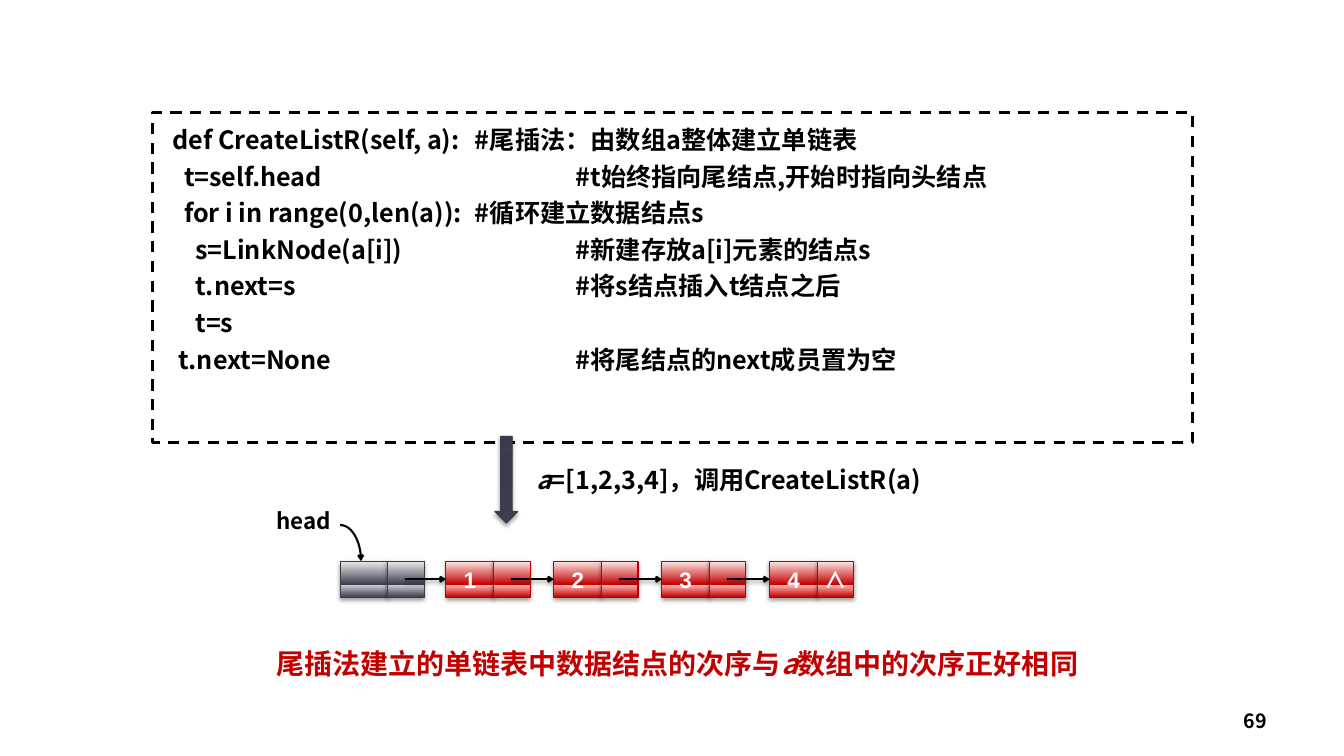
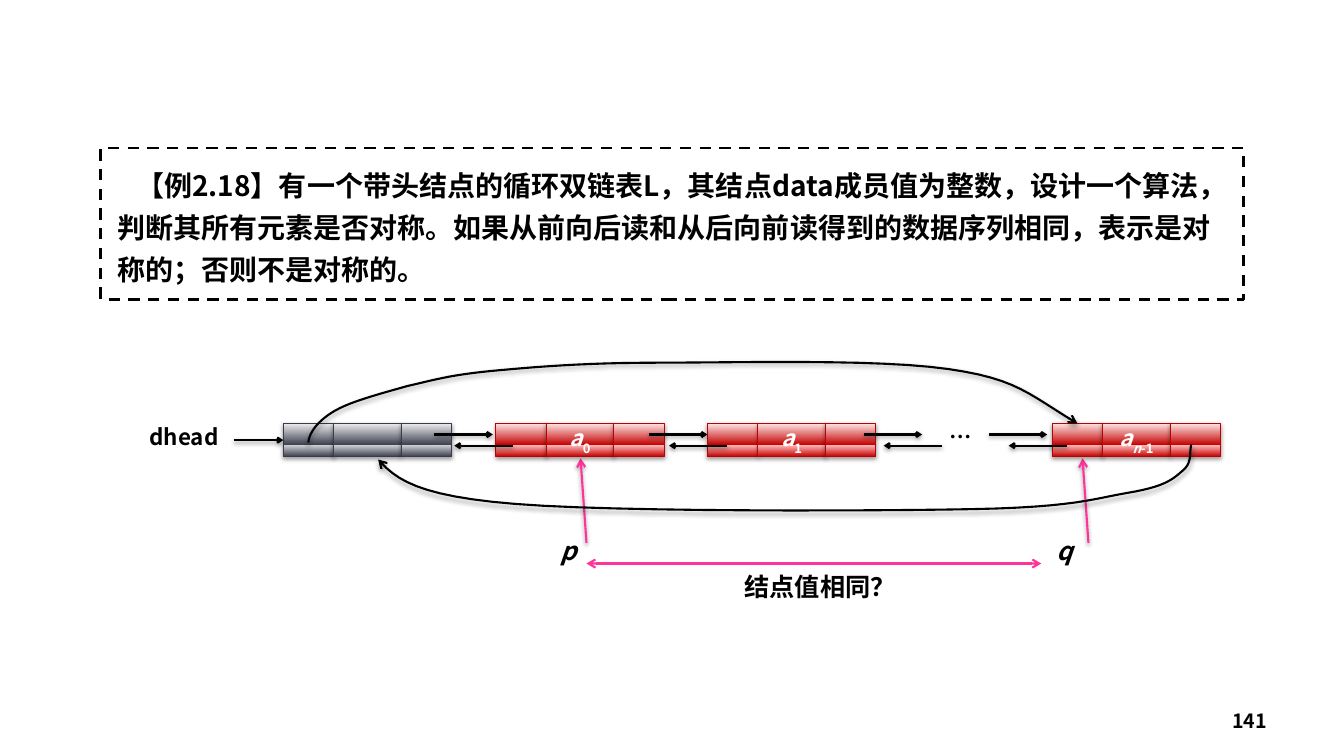
from lxml.etree import SubElement
from pptx import Presentation
from pptx.dml.color import RGBColor
from pptx.enum.dml import MSO_LINE
from pptx.enum.shapes import MSO_CONNECTOR, MSO_SHAPE
from pptx.enum.text import MSO_ANCHOR, PP_ALIGN
from pptx.oxml.ns import qn
from pptx.util import Cm, Pt

BLACK = RGBColor(0x00, 0x00, 0x00)
WHITE = RGBColor(0xFF, 0xFF, 0xFF)
RED = RGBColor(0xC3, 0x00, 0x00)
RED_EDGE = RGBColor(0xBF, 0x00, 0x00)
RED_MID = RGBColor(0xFF, 0xBD, 0xBD)
RED_PALE = RGBColor(0xFF, 0xE6, 0xE6)
SLATE = RGBColor(0x3B, 0x3E, 0x4D)
SLATE_EDGE = RGBColor(0x39, 0x3C, 0x4C)
SLATE_MID = RGBColor(0xD1, 0xD2, 0xD5)
SLATE_PALE = RGBColor(0xEE, 0xEE, 0xEF)
SLATE_BLUE = RGBColor(0x37, 0x3A, 0x4D)
SLATE_TOP = RGBColor(0x36, 0x3A, 0x4E)
PINK = RGBColor(0xFF, 0x33, 0x99)

RED_NODE = (RED, RED_MID, RED_PALE, 35, RED_EDGE)
HEAD_NODE = (SLATE, SLATE_MID, SLATE_PALE, 35, SLATE_EDGE)
BLOCK_ARROW = (SLATE, SLATE_BLUE, SLATE_TOP, 80, SLATE_EDGE)
FONT = "Noto Sans CJK SC"
LIST_CELLS = (1.2, 0.92)
DOUBLE_CELLS = (1.27, 1.7, 1.27)

CODE = [
    ("def CreateListR(self, a):", "#尾插法：由数组a整体建立单链表", 3),
    ("  t=self.head", "#t始终指向尾结点,开始时指向头结点", 4),
    ("  for i in range(0,len(a)):", "#循环建立数据结点s", 3),
    ("    s=LinkNode(a[i])", "#新建存放a[i]元素的结点s", 4),
    ("    t.next=s", "#将s结点插入t结点之后", 4),
    ("    t=s", "", 4),
    (" t.next=None", "#将尾结点的next成员置为空", 4),
]
EXERCISE = (
    "【例2.18】有一个带头结点的循环双链表L，其结点data成员值为整数，"
    "设计一个算法，判断其所有元素是否对称。如果从前向后读和从后向前读"
    "得到的数据序列相同，表示是对称的；否则不是对称的。"
)
HEAD_CURVE = [(0, -0.91), (0.3, -0.91), (0.53, -0.5), (0.53, 0)]
TOP_CURVE = [
    (0.63, 0.48), (0.66, 0.2), (0.91, -0.1), (1.32, -0.33),
    (1.72, -0.56), (2.49, -0.76), (3.12, -0.94),
    (3.78, -1.09), (4.19, -1.22), (5.23, -1.32),
    (6.3, -1.42), (7.54, -1.53), (9.45, -1.53),
    (11.38, -1.53), (14.98, -1.63), (16.76, -1.37),
    (18.51, -1.12), (18.77, -0.74), (20.01, 0),
]
BOTTOM_CURVE = [
    (22.88, 0.53), (22.83, 0.79), (22.91, 1.01), (22.63, 1.22),
    (22.37, 1.45), (22.15, 1.6), (21.28, 1.75),
    (20.39, 1.9), (19.94, 2.11), (17.37, 2.16),
    (14.78, 2.21), (8.35, 2.23), (5.86, 2.03),
    (3.35, 1.83), (2.84, 1.4), (2.39, 0.91),
]


def write(p, runs, size, color=BLACK, align=PP_ALIGN.LEFT, name=FONT):
    """Fill a paragraph with (text, style) runs; i is italic, _ is subscript."""
    p.alignment = align
    f = p.font
    f.size, f.bold, f.name = Pt(size), True, name
    f.color.rgb = color
    SubElement(p._p.pPr.find(qn("a:defRPr")), qn("a:ea"), typeface=name)
    for text, style in runs:
        r = p.add_run()
        r.text = text
        if "i" in style:
            r.font.italic = True
        if "_" in style:
            r._r.get_or_add_rPr().set("baseline", "-30000")


def frame(s, insets=(0.25, 0.13, 0.25, 0.13), anchor=MSO_ANCHOR.TOP):
    """Set wrapping, insets and anchor, and return the text frame."""
    tf = s.text_frame
    tf.word_wrap = True
    tf.vertical_anchor = anchor
    tf.margin_left, tf.margin_top, tf.margin_right, tf.margin_bottom = map(Cm, insets)
    return tf


def label(sl, box, runs, size=18, color=BLACK, align=PP_ALIGN.LEFT, **layout):
    """Add a text box holding one paragraph and return that paragraph."""
    s = sl.shapes.add_textbox(*map(Cm, box))
    p = frame(s, **layout).paragraphs[0]
    write(p, runs, size, color, align)
    return p


def effects(s, shadow=True):
    """Give a shape a soft shadow below it, or no effect at all."""
    lst = SubElement(s._element.spPr, qn("a:effectLst"))
    if shadow:
        shdw = SubElement(lst, qn("a:outerShdw"), blurRad=str(Pt(3.1)),
                          dist=str(Pt(1.6)), dir="5400000", rotWithShape="0")
        clr = SubElement(shdw, qn("a:srgbClr"), val=str(BLACK))
        SubElement(clr, qn("a:alpha"), val="38000")


def glossy(sl, kind, box, look):
    """Add a shape with a two-part upward gradient."""
    base, mid, pale, split, edge = look
    s = sl.shapes.add_shape(kind, *map(Cm, box))
    s.fill.gradient()
    s.fill.gradient_angle = 90
    stops = s._element.spPr.find(qn("a:gradFill")).find(qn("a:gsLst"))
    for gs in list(stops):
        stops.remove(gs)
    for pos, color in ((0, base), (split, mid), (split, base), (100, pale)):
        gs = SubElement(stops, qn("a:gs"), pos=str(pos * 1000))
        SubElement(gs, qn("a:srgbClr"), val=str(color))
    s.line.color.rgb = edge
    s.line.width = Pt(0.75)
    effects(s)
    return s


def node(sl, x, y, h, widths, look, texts=()):
    """Draw a row of touching cells and return them."""
    cells = []
    for i, w in enumerate(widths):
        s = glossy(sl, MSO_SHAPE.RECTANGLE, (x, y, w, h), look)
        if i < len(texts) and texts[i]:
            p = frame(s, (0, 0, 0, 0)).paragraphs[0]
            p.line_spacing = Pt(23)
            name = "Arial" if texts[i][0][0].isdigit() else FONT
            write(p, texts[i], 16, WHITE, PP_ALIGN.CENTER, name)
        cells.append(s)
        x += w
    return cells


def stroke(s, color, ends, size, shadow):
    """Style a line with open arrowheads at the named ends."""
    s.line.color.rgb = color
    s.line.width = Pt(1.5)
    ln = s._element.spPr.find(qn("a:ln"))
    for end in ends:
        SubElement(ln, qn(f"a:{end}"), type="arrow", w=size, len=size)
    effects(s, shadow)


def arrow(sl, x1, y1, x2, y2, color=BLACK, ends=("tailEnd",), size="sm", shadow=True):
    """Add a straight arrow."""
    s = sl.shapes.add_connector(MSO_CONNECTOR.STRAIGHT, Cm(x1), Cm(y1), Cm(x2), Cm(y2))
    stroke(s, color, ends, size, shadow)
    return s


def curve(sl, x, y, points, size="med", shadow=True, steps=12):
    """Add an arrow along joined cubic curves, relative to x and y."""
    path = [points[0]]
    for i in range(0, len(points) - 1, 3):
        a, b, c, d = points[i:i + 4]
        for k in range(1, steps + 1):
            t = k / steps
            u = 1 - t
            path.append(tuple(
                u**3 * a[j] + 3 * u * u * t * b[j] + 3 * u * t * t * c[j] + t**3 * d[j]
                for j in (0, 1)))
    path = [(Cm(x + px), Cm(y + py)) for px, py in path]
    fb = sl.shapes.build_freeform(*path[0])
    fb.add_line_segments(path[1:], close=False)
    s = fb.convert_to_shape()
    s.fill.background()
    stroke(s, BLACK, ("tailEnd",), size, shadow)


def dashed_box(sl, box, left_inset):
    """Add a white box with a dashed outline and return its text frame."""
    s = sl.shapes.add_shape(MSO_SHAPE.RECTANGLE, *map(Cm, box))
    s.fill.solid()
    s.fill.fore_color.rgb = WHITE
    s.line.color.rgb = BLACK
    s.line.width = Pt(2)
    s.line.dash_style = MSO_LINE.DASH
    effects(s, False)
    return frame(s, (left_inset, 0.3, 0.25, 0.3))


def code_box(sl, box):
    """Write the code with its comments on tab stops."""
    tf = dashed_box(sl, box, 0.51)
    for i, (code, comment, column) in enumerate(CODE):
        p = tf.add_paragraph() if i else tf.paragraphs[0]
        if i:
            p.space_before = Pt(4.5)
        tabs = SubElement(p._p.get_or_add_pPr(), qn("a:tabLst"))
        SubElement(tabs, qn("a:tab"), pos=str(Cm(2.54 * column)), algn="l")
        write(p, [(f"{code}\t{comment}" if comment else code, "")], 18)


def single_list(sl, x, y, h=0.91):
    """Draw the singly linked list with its head pointer."""
    label(sl, (x - 1.86, y - 1.36, 1.88, 0.74), [("head", "")], 16,
          align=PP_ALIGN.CENTER, insets=(0, 0, 0, 0))
    curve(sl, x, y, HEAD_CURVE, "sm", False)
    nodes = [(x, node(sl, x, y, h, LIST_CELLS, HEAD_NODE))]
    for i in range(4):
        left = x + 2.67 + 2.72 * i
        texts = [[(str(i + 1), "")], [("∧", "")] if i == 3 else None]
        nodes.append((left, node(sl, left, y, h, LIST_CELLS, RED_NODE, texts)))
    for (left, _), (right, cells) in zip(nodes, nodes[1:]):
        s = arrow(sl, left + 1.63, y + h / 2, right, y + h / 2)
        s.end_connect(cells[0], 1)


def double_list(sl, x, y, h=0.84):
    """Draw the circular doubly linked list with its head pointer."""
    label(sl, (x - 4.04, y, 3.28, h), [("dhead", "")], 16,
          align=PP_ALIGN.CENTER, insets=(0.05, 0, 0.25, 0))
    head = node(sl, x, y, h, DOUBLE_CELLS, HEAD_NODE)
    arrow(sl, x - 1.25, y + h / 2, x, y + h / 2).end_connect(head[0], 1)
    for dx, sub in ((5.36, [("0", "_")]), (10.69, [("1", "_")]),
                    (19.38, [("n", "i_"), ("-1", "_")])):
        node(sl, x + dx, y, h, DOUBLE_CELLS, RED_NODE, [None, [("a", "i"), *sub]])
    label(sl, (x + 16.08, y, 1.98, h), [("…", "")], 16,
          align=PP_ALIGN.CENTER, insets=(0.25, 0, 0.25, 0))
    for dx in (3.81, 9.22, 14.63, 17.78):
        left = x + dx
        arrow(sl, left, y + 0.28, left + 1.47, y + 0.28)
        arrow(sl, left + 1.97, y + 0.56, left + 0.5, y + 0.56)
    curve(sl, x, y, BOTTOM_CURVE)
    curve(sl, x, y, TOP_CURVE)


def comparison(sl, x, y):
    """Draw the p and q pointers and the question between them."""
    for name, dx, tip in (("p", 0, 1.35), ("q", 12.5, 14)):
        p = label(sl, (x + dx, y + 1.96, 2.11, 0.86), [(name, "i")],
                  align=PP_ALIGN.CENTER)
        p.line_spacing = 0.8
        arrow(sl, x + tip, y, x + tip + 0.15, y + 2.13, PINK, ("headEnd",), "med")
    arrow(sl, x + 1.5, y + 2.65, x + 12.96, y + 2.65, PINK,
          ("headEnd", "tailEnd"), "med", False)
    label(sl, (x + 4.53, y + 2.72, 5.72, 1.02), [("结点值相同？", "")],
          align=PP_ALIGN.CENTER)


def new_slide(prs, number):
    """Add a blank slide with its page number."""
    sl = prs.slides.add_slide(prs.slide_layouts[6])
    label(sl, (24.28, 17.65, 7.9, 1.02), [(str(number), "")], 14,
          align=PP_ALIGN.RIGHT, anchor=MSO_ANCHOR.MIDDLE)
    return sl


def code_slide(prs):
    """Build the slide on tail insertion."""
    sl = new_slide(prs, 69)
    code_box(sl, (3.84, 2.84, 26.21, 8.31))
    glossy(sl, MSO_SHAPE.DOWN_ARROW, (12.47, 11, 0.58, 2.18), BLOCK_ARROW)
    label(sl, (13.26, 11.58, 14.1, 1.02),
          [("a", "i"), ("=[1,2,3,4]，调用CreateListR(a)", "")])
    single_list(sl, 8.57, 14.14)
    label(sl, (6.71, 16.15, 23.32, 1.12),
          [("尾插法建立的单链表中数据结点的次序与", ""), ("a", "i"),
           ("数组中的次序正好相同", "")], 20, RED)


def exercise_slide(prs):
    """Build the slide on the symmetry exercise."""
    sl = new_slide(prs, 141)
    p = dashed_box(sl, (2.54, 3.73, 28.8, 3.81), 0.41).paragraphs[0]
    p.line_spacing = Pt(30)
    p._p.get_or_add_pPr().set("indent", str(Cm(0.48)))
    write(p, [(EXERCISE, "")], 20)
    comparison(sl, 13.28, 11.55)
    double_list(sl, 7.14, 10.67)


def main():
    """Build and save the presentation."""
    prs = Presentation()
    prs.slide_width, prs.slide_height = Cm(33.87), Cm(19.05)
    code_slide(prs)
    exercise_slide(prs)
    prs.save("out.pptx")


if __name__ == "__main__":
    main()
